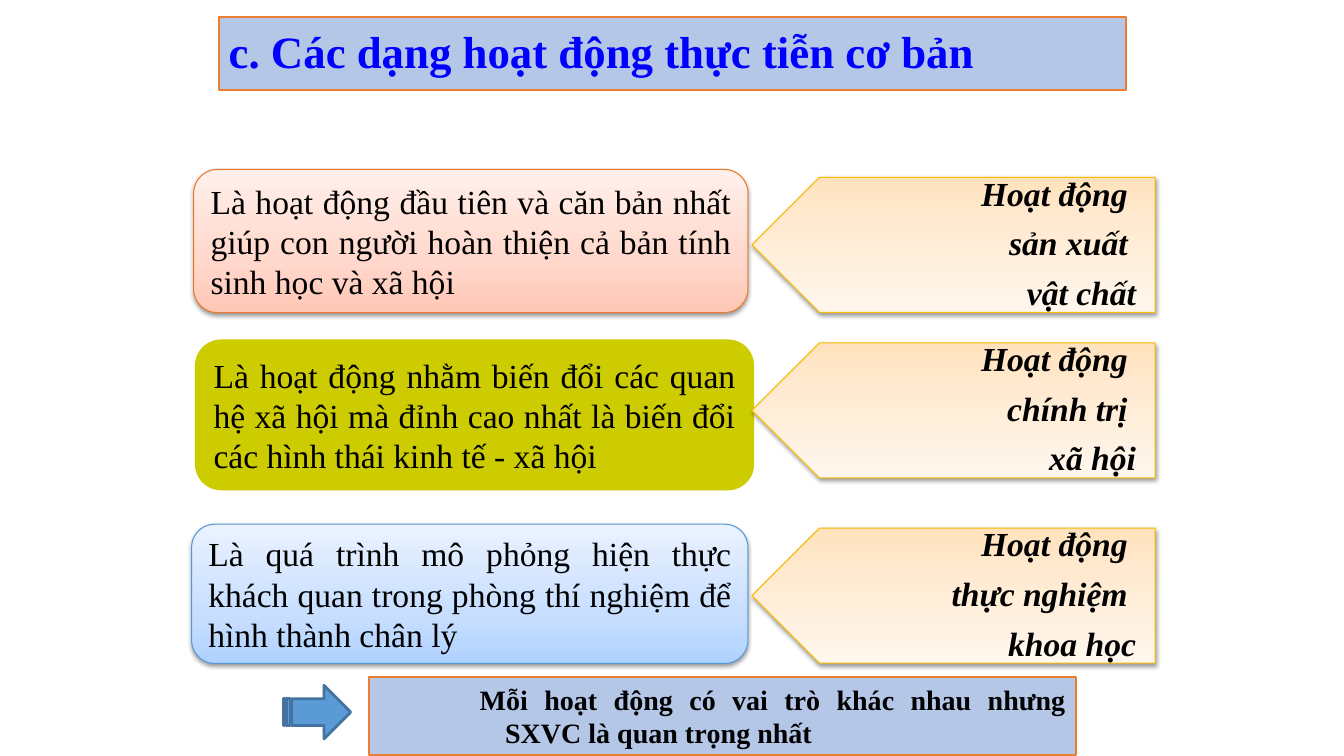
"""Build the slide on the basic forms of practical activity."""
from copy import deepcopy
from lxml.etree import SubElement as Sub
from pptx import Presentation
from pptx.dml.color import RGBColor as Rgb
from pptx.enum.shapes import MSO_SHAPE as Kind
from pptx.enum.text import MSO_ANCHOR as Anchor, MSO_AUTO_SIZE as Auto, PP_ALIGN as Align
from pptx.oxml.ns import qn
from pptx.util import Cm, Pt


def paint(shape, fill, line, width):
    """Fill with one colour or a list of stops, outline, and shade the gradients."""
    shape.line.color.rgb = Rgb.from_string(line)
    shape.line.width = Pt(width)
    shape.shadow.inherit = False
    if isinstance(fill, str):
        shape.fill.solid()
        shape.fill.fore_color.rgb = Rgb.from_string(fill)
        return
    shape.fill.gradient()
    shape.fill.gradient_angle = 90
    props = shape.element.spPr
    stops = props.find(".//" + qn("a:gsLst"))
    stops.append(deepcopy(stops[1]))
    for stop, place, tint in zip(shape.fill.gradient_stops, (0, 0.35, 1), fill):
        stop.position = place
        stop.color.rgb = Rgb.from_string(tint)
    shade = Sub(props.find(qn("a:effectLst")), qn("a:outerShdw"), blurRad="40000",
                dist="20000", dir="5400000", rotWithShape="0")
    tone = Sub(shade, qn("a:srgbClr"), val="000000")
    Sub(tone, qn("a:alpha"), val="38000")


def write(shape, lines, tint, font, para, frame):
    """Write one paragraph per line with the given formats."""
    text = shape.text_frame
    text.text = "\n".join(lines)
    text.word_wrap = True
    text.auto_size = Auto.NONE
    for key, value in frame.items():
        setattr(text, key, value)
    for item in text.paragraphs:
        for key, value in para.items():
            setattr(item, key, value)
        for run in item.runs:
            run.font.name = "Times New Roman"
            run.font.color.rgb = Rgb.from_string(tint)
            for key, value in font.items():
                setattr(run.font, key, value)


deck = Presentation()
deck.slide_width, deck.slide_height = Cm(33.87), Cm(19.05)
slide = deck.slides.add_slide(deck.slide_layouts[5])
shapes = slide.shapes

title = shapes.title
title.left, title.top, title.width, title.height = Cm(5.51), Cm(0.43), Cm(22.86), Cm(1.85)
paint(title, "B4C7E7", "ED7D31", 1.5)
write(title, ["c. Các dạng hoạt động thực tiễn cơ bản"], "0000FF",
      {"size": Pt(32), "bold": True},
      {"alignment": Align.LEFT, "line_spacing": 0.9},
      {"vertical_anchor": Anchor.MIDDLE})

cards = [
    ((4.88, 4.27, 13.97, 3.61), ("FFC7B6", "FFD7CB", "FFF0EB"), "EC792B", 0.75,
     "Là hoạt động đầu tiên và căn bản nhất giúp con người hoàn thiện cả bản tính "
     "sinh học và xã hội"),
    ((4.95, 8.59, 14.02, 3.73), "CCCC00", "CCCC00", 2,
     "Là hoạt động nhằm biến đổi các quan hệ xã hội mà đỉnh cao nhất là biến đổi "
     "các hình thái kinh tế - xã hội"),
    ((4.83, 13.21, 14.02, 3.51), ("B0D2FF", "C7DEFF", "EAF2FF"), "5698D3", 0.75,
     "Là quá trình mô phỏng hiện thực khách quan trong phòng thí nghiệm để "
     "hình thành chân lý"),
]
for box, fill, line, width, words in cards:
    card = shapes.add_shape(Kind.FLOWCHART_ALTERNATE_PROCESS, *map(Cm, box))
    paint(card, fill, line, width)
    write(card, [words], "000000", {"size": Pt(24)}, {"alignment": Align.JUSTIFY},
          {"vertical_anchor": Anchor.MIDDLE})

note = shapes.add_shape(Kind.RECTANGLE, Cm(9.3), Cm(17.07), Cm(17.81), Cm(1.96))
paint(note, "B4C7E7", "ED7D31", 1.5)
write(note, ["Mỗi hoạt động có vai trò khác nhau nhưng SXVC là quan trọng nhất"], "000000",
      {"size": Pt(20), "bold": True}, {"alignment": Align.JUSTIFY, "level": 2},
      {"vertical_anchor": Anchor.TOP})
dent = note.text_frame.paragraphs[0]._p.get_or_add_pPr()
dent.set("marL", str(Cm(3.18)))
dent.set("indent", str(Cm(-0.64)))

arrow = shapes.add_shape(Kind.STRIPED_RIGHT_ARROW, Cm(7.14), Cm(17.27), Cm(1.7), Cm(1.35))
paint(arrow, "5B9BD5", "43739E", 2)

forms = [
    (4.47, ["Hoạt động ", "sản xuất ", "vật chất"]),
    (8.64, ["Hoạt động ", "chính trị ", "xã hội"]),
    (13.31, ["Hoạt động ", "thực nghiệm ", "khoa học"]),
]
for top, lines in forms:
    group = shapes.add_group_shape()
    plate = group.shapes.add_shape(Kind.PENTAGON, Cm(18.95), Cm(top), Cm(10.16), Cm(3.4))
    plate.rotation = 180
    paint(plate, ("FFE2BD", "FFEAD1", "FFF7EE"), "F9BC00", 0.75)
    label = group.shapes.add_textbox(Cm(19.81), Cm(top), Cm(9.3), Cm(3.4))
    write(label, lines, "000000", {"size": Pt(24), "bold": True, "italic": True},
          {"alignment": Align.RIGHT, "line_spacing": 0.9, "space_after": Pt(9.5)},
          {"vertical_anchor": Anchor.MIDDLE, "margin_left": Cm(1.5), "margin_right": Cm(0.48),
           "margin_top": Cm(0.25), "margin_bottom": Cm(0.25)})

deck.save("out.pptx")
